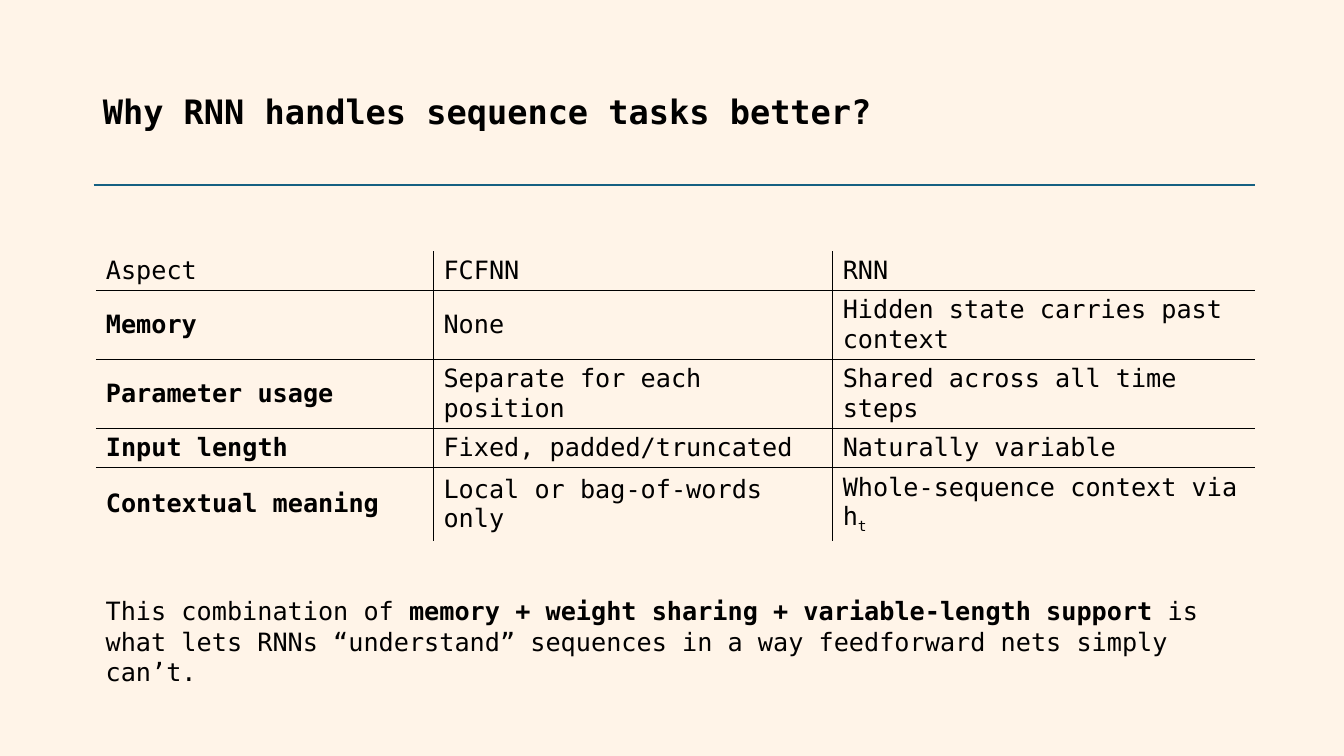
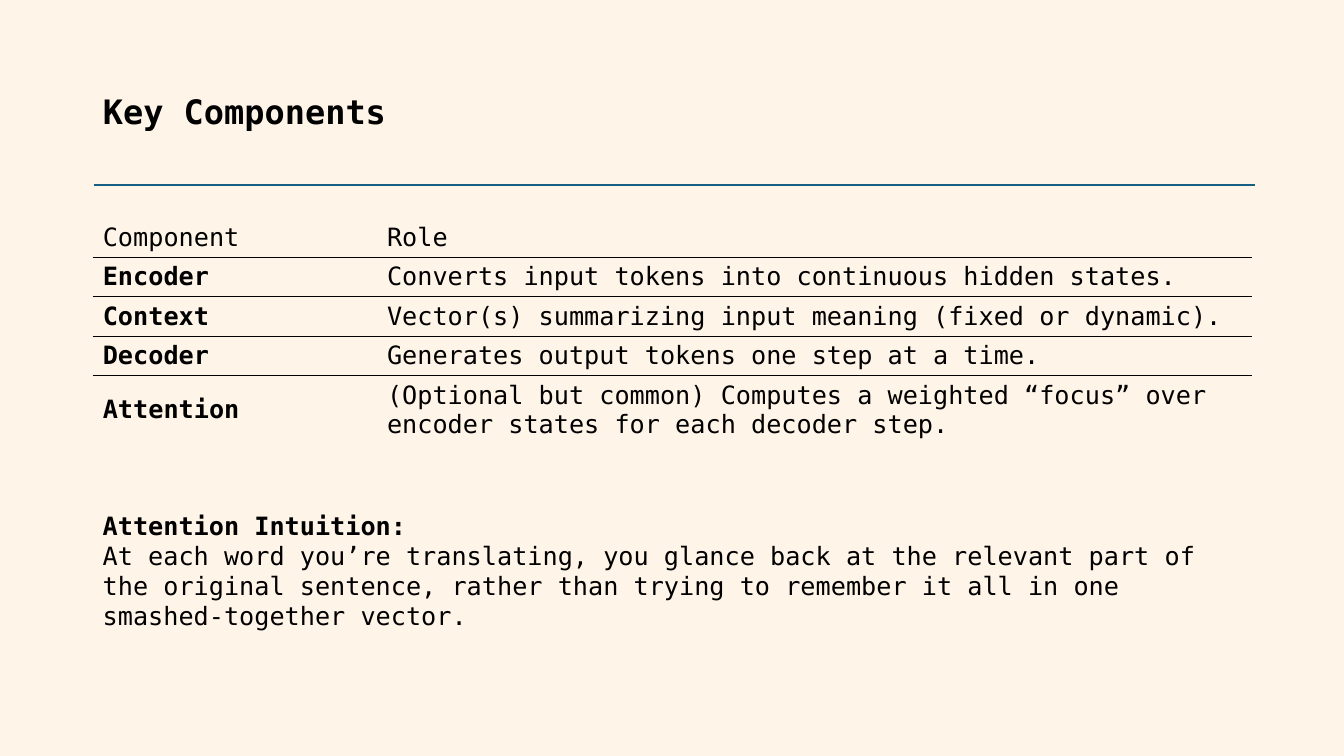
from dataclasses import dataclass
from typing import NamedTuple

from lxml.etree import SubElement
from pptx import Presentation
from pptx.dml.color import RGBColor
from pptx.enum.shapes import MSO_CONNECTOR
from pptx.enum.text import MSO_ANCHOR, MSO_AUTO_SIZE, PP_ALIGN
from pptx.oxml import parse_xml
from pptx.oxml.ns import nsdecls, qn
from pptx.util import Pt

CREAM = RGBColor(0xFF, 0xF4, 0xE8)
BLACK = RGBColor(0x00, 0x00, 0x00)
BLUE = RGBColor(0x15, 0x60, 0x82)
FONT = "DejaVu Sans Mono"
TITLE_SIZE = 24
BODY_SIZE = 18
LINE_HEIGHT = 21
CELL_PADDING = 7.2
SUBSCRIPT = -25000
SUBSCRIPT_EXTRA = 3
NO_STYLE = "{2D5ABB26-0587-4C30-8999-92F81FD0307C}"


class Run(NamedTuple):
    text: str
    bold: bool = False
    sub: bool = False
    line_break: bool = False


class Row(NamedTuple):
    cells: tuple[str | tuple[Run, ...], ...]
    lines: int = 1


class Box(NamedTuple):
    left: float
    top: float
    width: float
    height: float


@dataclass(frozen=True)
class Grid:
    left: float
    top: float
    widths: tuple[float, ...]
    rows: tuple[Row, ...]
    column_rules: bool = False


@dataclass(frozen=True)
class Page:
    title: str
    grid: Grid
    box: Box
    closing: tuple[Run, ...]


TITLE_BOX = Box(66.24, 28.8, 828, 104.4)
RULE_LEFT, RULE_RIGHT, RULE_Y = 66.96, 896.4, 132.2

PAGES = (
    Page(
        "Why RNN handles sequence tasks better?",
        Grid(68.4, 179.3, (241.2, 285.2, 301.6), (
            Row(("Aspect", "FCFNN", "RNN")),
            Row(("Memory", "None", "Hidden state carries past context"), 2),
            Row(("Parameter usage", "Separate for each position",
                 "Shared across all time steps"), 2),
            Row(("Input length", "Fixed, padded/truncated", "Naturally variable")),
            Row(("Contextual meaning", "Local or bag‑of‑words only",
                 (Run("Whole‑sequence context via h"), Run("t", sub=True))), 2),
        ), column_rules=True),
        Box(68.4, 421.9, 828, 72.7),
        (Run("This combination of "),
         Run("memory + weight sharing + variable‑length support", bold=True),
         Run(" is what lets RNNs “understand” sequences in a way "
             "feedforward nets simply can’t.")),
    ),
    Page(
        "Key Components",
        Grid(66.24, 155.6, (203, 625), (
            Row(("Component", "Role")),
            Row(("Encoder", "Converts input tokens into continuous hidden states.")),
            Row(("Context", "Vector(s) summarizing input meaning (fixed or dynamic).")),
            Row(("Decoder", "Generates output tokens one step at a time.")),
            Row(("Attention", "(Optional but common) Computes a weighted “focus” over "
                 "encoder states for each decoder step."), 2),
        )),
        Box(66.24, 360.7, 829.4, 94.5),
        (Run("Attention Intuition:", bold=True, line_break=True),
         Run("At each word you’re translating, you glance back at the relevant part "
             "of the original sentence, rather than trying to remember it all in one "
             "smashed‑together vector.")),
    ),
)


def add_text(p, text: str, *, size: float = BODY_SIZE, bold: bool = False,
             sub: bool = False, color: RGBColor = BLACK) -> None:
    r = p.add_run()
    r.text = text
    r.font.name = FONT
    r.font.size = Pt(size)
    r.font.bold = bold
    r.font.color.rgb = color
    if sub:
        r.font._element.set("baseline", str(SUBSCRIPT))


def add_runs(p, runs: tuple[Run, ...]) -> None:
    for run in runs:
        add_text(p, run.text, bold=run.bold, sub=run.sub)
        if run.line_break:
            p.add_line_break()


def add_title(s, text: str) -> None:
    sp = s.shapes.title
    sp.left, sp.top, sp.width, sp.height = map(Pt, TITLE_BOX)
    tf = sp.text_frame
    tf.word_wrap = True
    tf.auto_size = MSO_AUTO_SIZE.NONE
    tf.vertical_anchor = MSO_ANCHOR.MIDDLE
    p = tf.paragraphs[0]
    p.alignment = PP_ALIGN.LEFT
    p.line_spacing = 0.9
    add_text(p, text, size=TITLE_SIZE, bold=True)


def add_rule(s) -> None:
    line = s.shapes.add_connector(MSO_CONNECTOR.STRAIGHT, Pt(RULE_LEFT), Pt(RULE_Y),
                                  Pt(RULE_RIGHT), Pt(RULE_Y))
    line.line.color.rgb = BLUE
    line.line.width = Pt(1.5)
    SubElement(line._element.spPr, qn("a:effectLst"))


def set_borders(cell, sides: dict[str, bool]) -> None:
    tc_pr = cell._tc.get_or_add_tcPr()
    for i, (side, shown) in enumerate(sides.items()):
        paint = (f'<a:solidFill><a:srgbClr val="{BLACK}"/></a:solidFill>'
                 if shown else "<a:noFill/>")
        tc_pr.insert(i, parse_xml(
            f'<a:ln{side} {nsdecls("a")} w="{Pt(1)}">{paint}</a:ln{side}>'))


def row_height(row: Row) -> float:
    has_sub = any(run.sub for cell in row.cells if not isinstance(cell, str)
                  for run in cell)
    return row.lines * LINE_HEIGHT + CELL_PADDING + SUBSCRIPT_EXTRA * has_sub


def add_grid(s, grid: Grid) -> None:
    heights = [row_height(row) for row in grid.rows]
    last_row, last_col = len(heights) - 1, len(grid.widths) - 1
    table = s.shapes.add_table(len(heights), len(grid.widths), Pt(grid.left),
                               Pt(grid.top), Pt(sum(grid.widths)),
                               Pt(sum(heights))).table
    table.first_row = table.horz_banding = False
    table._tbl.tblPr.find(qn("a:tableStyleId")).text = NO_STYLE
    for column, width in zip(table.columns, grid.widths):
        column.width = Pt(width)
    for i, row in enumerate(grid.rows):
        table.rows[i].height = Pt(heights[i])
        for j, content in enumerate(row.cells):
            cell = table.cell(i, j)
            cell.vertical_anchor = MSO_ANCHOR.MIDDLE
            cell.fill.background()
            set_borders(cell, {
                "L": grid.column_rules and j > 0,
                "R": grid.column_rules and j < last_col,
                "T": i > 0,
                "B": i < last_row,
            })
            runs = ((Run(content, bold=i > 0 and j == 0),)
                    if isinstance(content, str) else content)
            add_runs(cell.text_frame.paragraphs[0], runs)


def add_closing(s, box: Box, runs: tuple[Run, ...]) -> None:
    tf = s.shapes.add_textbox(*map(Pt, box)).text_frame
    tf.word_wrap = True
    tf.auto_size = MSO_AUTO_SIZE.SHAPE_TO_FIT_TEXT
    add_runs(tf.paragraphs[0], runs)


def main() -> None:
    prs = Presentation()
    prs.slide_width, prs.slide_height = Pt(960), Pt(540)
    fill = prs.slide_master.background.fill
    fill.solid()
    fill.fore_color.rgb = CREAM
    for page in PAGES:
        s = prs.slides.add_slide(prs.slide_layouts.get_by_name("Title Only"))
        add_title(s, page.title)
        add_grid(s, page.grid)
        add_rule(s)
        add_closing(s, page.box, page.closing)
    prs.save("out.pptx")


if __name__ == "__main__":
    main()
